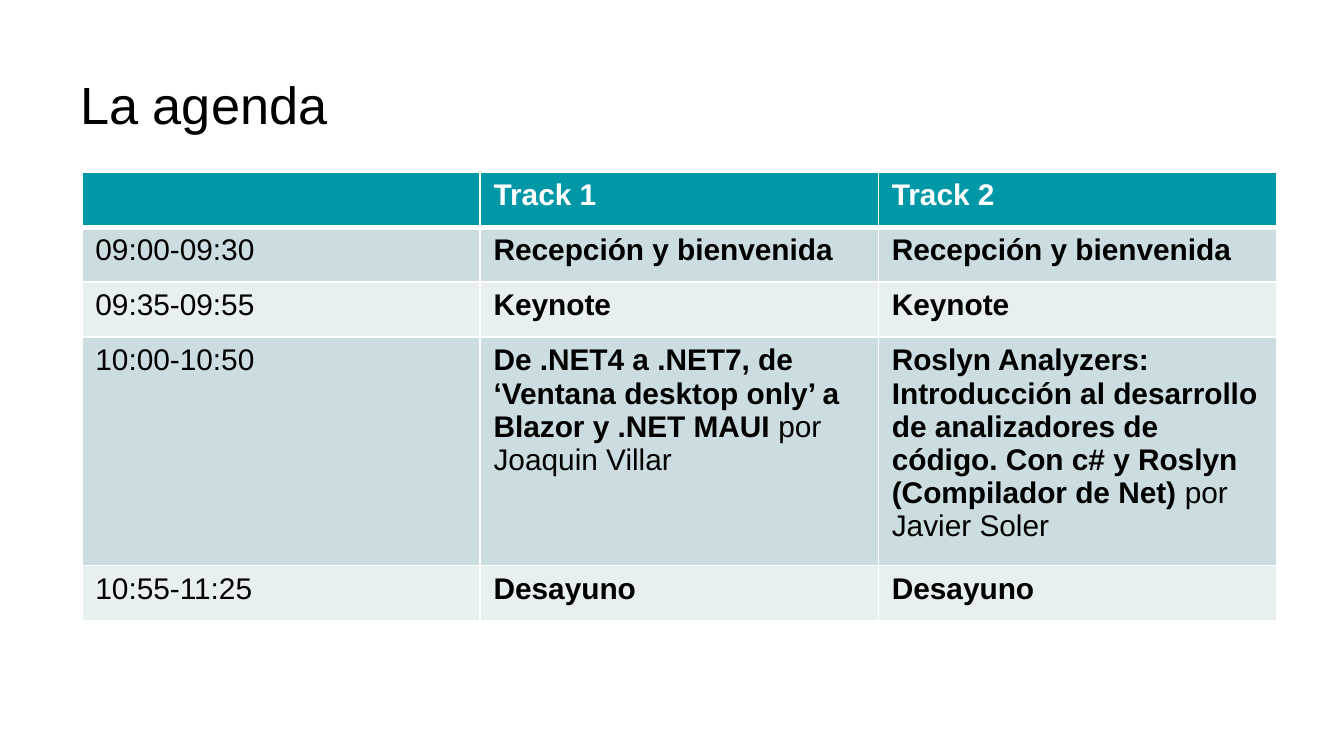
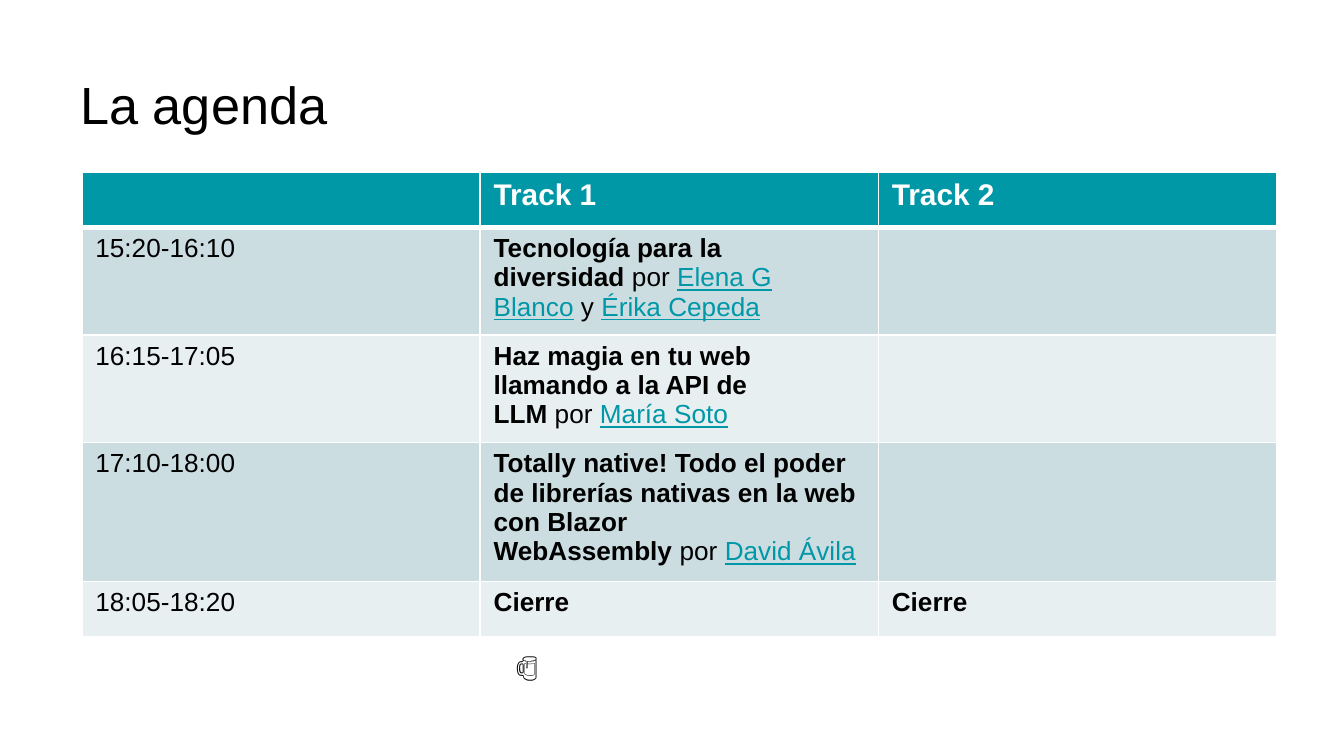
import pptx
import pptx.util
import pptx.dml.color
import pptx.enum.text
from lxml import etree

# Content: a cell is a list of (style, text) runs; GAP is a space that holds words together
GAP = chr(160)
BY = ("text", f"{GAP}por{GAP}")
HEAD = [[], [("head", "Track 1")], [("head", "Track 2")]]


def both(time, name):
    return [[("text", time)], [("bold", name)], [("bold", name)]]


SLIDES = [
    {
        "title": "La agenda", "size": "large", "note": None,
        "rows": [
            both("09:00-09:30", "Recepción y bienvenida"),
            both("09:35-09:55", "Keynote"),
            [[("text", "10:00-10:50")],
             [("bold", "De .NET4 a .NET7, de ‘Ventana desktop only’ "
                       f"a Blazor y .NET MAUI{GAP}"),
              ("text", "por Joaquin Villar")],
             [("bold", "Roslyn Analyzers: Introducción al desarrollo de analizadores "
                       "de código. Con c# y Roslyn (Compilador de Net)"),
              ("text", f"{GAP}por Javier Soler")]],
            both("10:55-11:25", "Desayuno"),
        ],
    },
    {
        "title": "La agenda", "size": "small", "note": "🍺",
        "rows": [
            [[("text", "15:20-16:10")],
             [("bold", "Tecnología para la diversidad"), BY,
              ("link", "Elena G Blanco"), ("text", f"{GAP}y{GAP}"),
              ("link", "Érika Cepeda")],
             []],
            [[("text", "16:15-17:05")],
             [("bold", "Haz magia en tu web llamando a la API de LLM"), BY,
              ("link", "María Soto")],
             []],
            [[("text", "17:10-18:00")],
             [("bold", "Totally native! Todo el poder de librerías nativas "
                       "en la web con Blazor WebAssembly"), BY,
              ("link", "David Ávila")],
             []],
            both("18:05-18:20", "Cierre"),
        ],
    },
]

# Theme
THEME = {
    "font": "Arial",
    "ink": "000000", "teal": "0097A7", "line": "FFFFFF",
    "bands": ("CCDDE1", "E7EFF1"),
    "title": 28, "large": 16, "small": 14,
}
STYLES = {
    "head": {"color": THEME["line"], "bold": True},
    "text": {},
    "bold": {"bold": True},
    "link": {"color": THEME["teal"], "under": True},
}

# Grid, in inches
WIDE = 10
HIGH = WIDE * 9 / 16
TITLE = (0.5, 0.44, 9, 0.64)
NOTE = (3.74, 4.79, 0.5, 0.34)
LEFT, TOP, SPAN, ROW = 0.61, 1.28, 8.89, 0.41
COL = SPAN / len(HEAD)


def inch(*sizes):
    return [pptx.util.Inches(size) for size in sizes]


def rgb(code):
    return pptx.dml.color.RGBColor.from_string(code)


def write(para, text, size, color=THEME["ink"], bold=False, under=False):
    run = para.add_run()
    run.text = text
    font = run.font
    font.name, font.size = THEME["font"], pptx.util.Pt(size)
    font.bold, font.underline = bold, under
    font.color.rgb = rgb(color)


def add_box(slide, place, text, size, inset=0.1):
    frame = slide.shapes.add_textbox(*inch(*place)).text_frame
    frame.word_wrap = True
    frame.margin_top = frame.margin_bottom = pptx.util.Inches(inset)
    write(frame.paragraphs[0], text, size)


def paint(cell, fill, base=1):
    # Borders come before the fill in a cell's properties
    props = cell._tc.get_or_add_tcPr()
    for side in "LRTB":
        width = pptx.util.Pt(base if side == "B" else 1)
        edge = etree.SubElement(props, pptx.oxml.ns.qn("a:ln" + side), w=str(int(width)))
        solid = etree.SubElement(edge, pptx.oxml.ns.qn("a:solidFill"))
        etree.SubElement(solid, pptx.oxml.ns.qn("a:srgbClr"), val=THEME["line"])
    cell.fill.solid()
    cell.fill.fore_color.rgb = rgb(fill)


def add_agenda(slide, rows, size):
    lines = [HEAD] + rows
    table = slide.shapes.add_table(
        len(lines), len(HEAD), *inch(LEFT, TOP, SPAN, ROW * len(lines))).table
    for col in table.columns:
        col.width = pptx.util.Inches(COL)
    for r, line in enumerate(lines):
        table.rows[r].height = pptx.util.Inches(ROW)
        fill = THEME["bands"][(r - 1) % 2] if r else THEME["teal"]
        for c, runs in enumerate(line):
            cell = table.cell(r, c)
            paint(cell, fill, base=1 if r else 3)
            para = cell.text_frame.paragraphs[0]
            para.font.size = pptx.util.Pt(size)
            for style, text in runs:
                write(para, text, size if r else THEME["large"], **STYLES[style])


def main():
    deck = pptx.Presentation()
    deck.slide_width, deck.slide_height = inch(WIDE, HIGH)
    for page in SLIDES:
        slide = deck.slides.add_slide(deck.slide_layouts[6])
        add_box(slide, TITLE, page["title"], THEME["title"])
        add_agenda(slide, page["rows"], THEME[page["size"]])
        if page["note"]:
            add_box(slide, NOTE, page["note"], THEME["small"], inset=0.05)
    deck.save("out.pptx")


if __name__ == "__main__":
    main()
